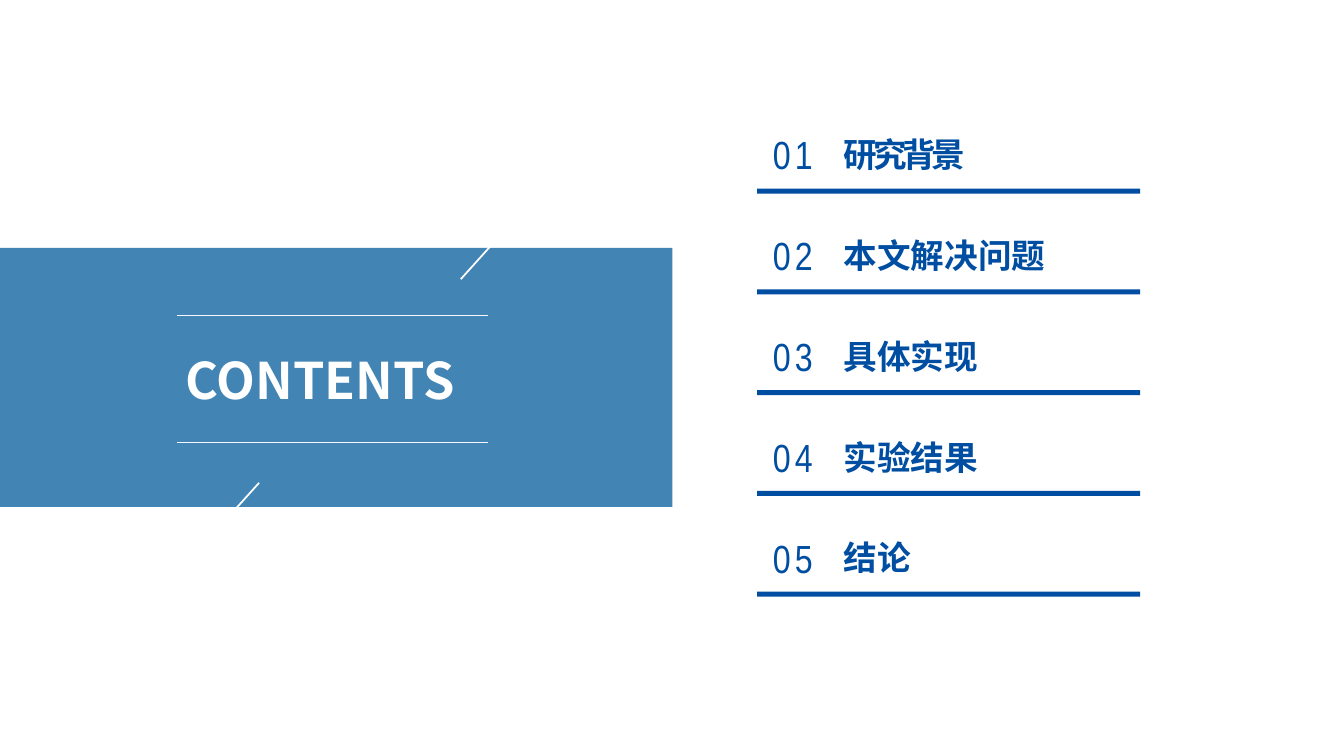
from dataclasses import dataclass

from lxml import etree
from pptx import Presentation
from pptx.dml.color import RGBColor
from pptx.enum.shapes import MSO_CONNECTOR, MSO_SHAPE
from pptx.enum.text import MSO_ANCHOR, MSO_AUTO_SIZE, PP_ALIGN
from pptx.oxml.ns import qn
from pptx.util import Inches, Pt

RECT = MSO_SHAPE.RECTANGLE
STRAIGHT = MSO_CONNECTOR.STRAIGHT
LEFT, CENTER, JUSTIFY = PP_ALIGN.LEFT, PP_ALIGN.CENTER, PP_ALIGN.JUSTIFY
TOP, MIDDLE = MSO_ANCHOR.TOP, MSO_ANCHOR.MIDDLE
NO_FIT = MSO_AUTO_SIZE.NONE


@dataclass(frozen=True)
class Theme:
    band: str = "035C9C"
    blue: str = "004EA2"
    white: str = "FFFFFF"
    pale: str = "F7F6FD"
    narrow: str = "Arial Narrow"
    sans: str = "Noto Sans CJK SC"
    head: int = 36
    number: int = 28
    item: int = 24


def write(frame, text, font, size, color, bold=False, align=LEFT,
          anchor=MIDDLE, gap=0):
    """Put one formatted line in a text frame; gap is in points."""
    frame.word_wrap = True
    frame.auto_size = NO_FIT
    frame.vertical_anchor = anchor
    para = frame.paragraphs[0]
    para.alignment = align
    run = para.add_run()
    run.text = text
    run.font.name = font
    run.font.size = Pt(size)
    run.font.bold = bold
    run.font.color.rgb = RGBColor.from_string(color)
    props = run._r.get_or_add_rPr()
    etree.SubElement(props, qn("a:ea")).set("typeface", font)
    if gap:
        props.set("spc", str(gap * 100))


class Board:
    def __init__(self, slide, theme):
        self.slide = slide
        self.theme = theme

    def block(self, x, y, w, h, color, alpha=100):
        shape = self.slide.shapes.add_shape(
            RECT, Inches(x), Inches(y), Inches(w), Inches(h))
        shape.shadow.inherit = False
        shape.line.fill.background()
        shape.fill.solid()
        shape.fill.fore_color.rgb = RGBColor.from_string(color)
        if alpha < 100:
            tint = shape._element.spPr.find(".//" + qn("a:srgbClr"))
            etree.SubElement(tint, qn("a:alpha")).set("val", str(alpha * 1000))

    def line(self, x1, y1, x2, y2, color, width):
        line = self.slide.shapes.add_connector(
            STRAIGHT, Inches(x1), Inches(y1), Inches(x2), Inches(y2))
        line.line.color.rgb = RGBColor.from_string(color)
        line.line.width = Pt(width)
        etree.SubElement(line._element.spPr, qn("a:effectLst"))

    def text(self, x, y, w, h, words, **style):
        box = self.slide.shapes.add_textbox(
            Inches(x), Inches(y), Inches(w), Inches(h))
        write(box.text_frame, words, **style)

    def entry(self, index, title, gap):
        """One numbered row of the contents list with its underline."""
        look, drop = self.theme, index * 1.0
        self.text(7.25, 1.13 + drop, 1.23, 0.8, f"{index + 1:02}",
                  font=look.narrow, size=look.number, color=look.blue,
                  align=CENTER, gap=3)
        self.text(8.27, 1.23 + drop, 3.47, 0.6, title, font=look.sans,
                  size=look.item, color=look.blue, bold=True, gap=gap)
        self.block(7.51, 1.87 + drop, 3.8, 0.05, look.blue)


def main():
    deck = Presentation()
    deck.slide_width, deck.slide_height = Inches(13.33), Inches(7.5)
    look = Theme()
    board = Board(deck.slides.add_slide(deck.slide_layouts[6]), look)

    # Heading band
    board.block(0, 2.46, 6.67, 2.57, look.band, alpha=75)
    board.text(1.74, 3.41, 3.51, 0.71, "CONTENTS", font=look.sans,
               size=look.head, color=look.white, bold=True,
               align=JUSTIFY, anchor=TOP)

    # Rules above and below the heading
    for y in (3.13, 4.39):
        board.line(1.76, y, 4.84, y, look.pale, 0.5)

    # Slanted strokes at the band's edges
    for x, y in ((5.47, 1.77), (2.57, 4.79)):
        board.line(x, y, x - 0.9, y + 1, look.white, 1.25)

    # Contents list
    items = (("研究背景", -3), ("本文解决问题", 0), ("具体实现", 0),
             ("实验结果", 0), ("结论", 0))
    for index, (title, gap) in enumerate(items):
        board.entry(index, title, gap)

    deck.save("out.pptx")


if __name__ == "__main__":
    main()
